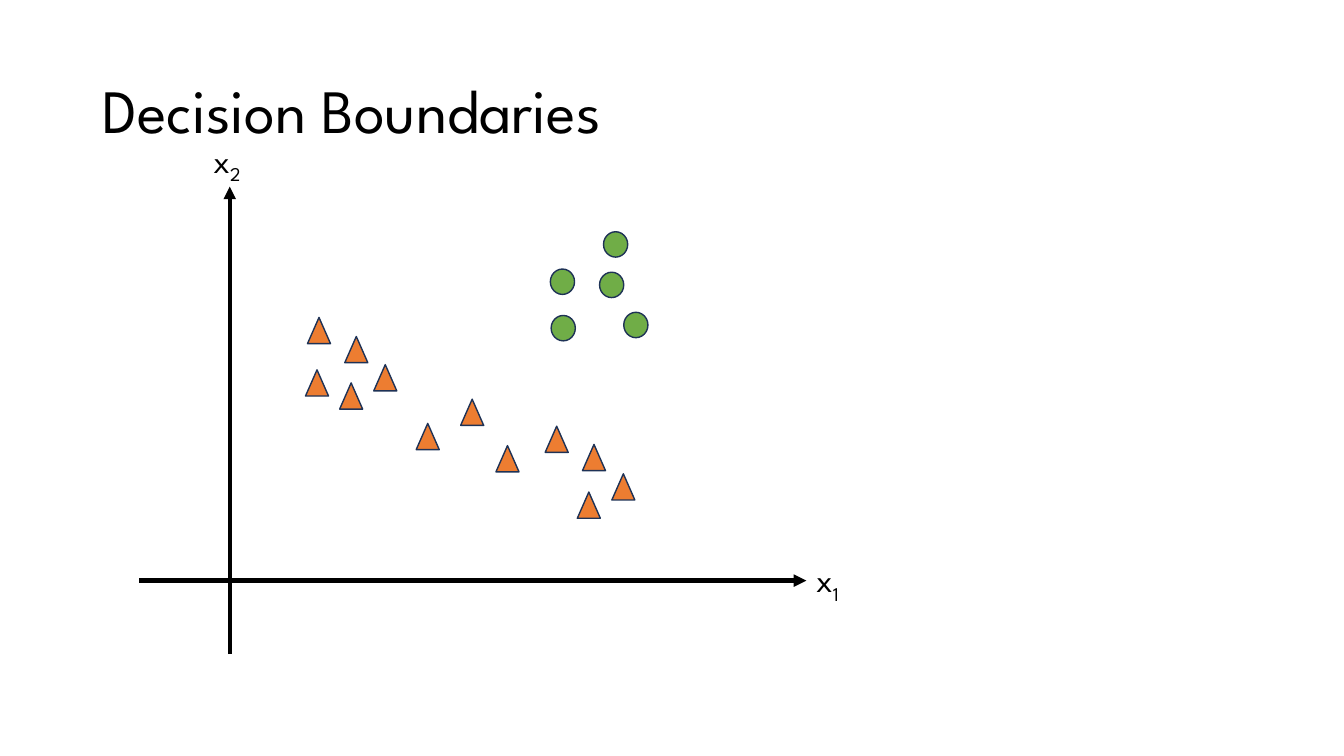
from lxml import etree
from pptx import Presentation
from pptx.dml.color import RGBColor
from pptx.enum.shapes import MSO_CONNECTOR, MSO_SHAPE
from pptx.enum.text import MSO_ANCHOR as ANCHOR, MSO_AUTO_SIZE as AUTO_SIZE
from pptx.oxml.ns import qn
from pptx.util import Cm, Pt

FONT = "League Spartan"
COLORS = {
    "ink": "000000",
    "triangle": "ED7D31",
    "circle": "70AD47",
    "outline": "1E3256",
}

# Top left corners of the data points, in cm
TRIANGLES = [
    (7.75, 8.0), (8.69, 8.48), (7.7, 9.32), (8.56, 9.65),
    (9.42, 9.19), (13.74, 10.74), (14.68, 11.2), (12.5, 11.23),
    (14.55, 12.4), (15.42, 11.94), (11.61, 10.06), (10.49, 10.67),
]
CIRCLES = [
    (13.87, 6.78), (13.89, 7.95), (15.11, 6.86), (15.72, 7.87), (15.21, 5.84),
]


def color(name):
    return RGBColor.from_string(COLORS[name])


def format_run(r, size):
    r.font.name = FONT
    r.font.size = Pt(size)
    r.font.color.rgb = color("ink")


def add_title(slide, text):
    tf = slide.shapes.add_textbox(Cm(2.34), Cm(1.02), Cm(29.21), Cm(3.68)).text_frame
    tf.word_wrap = True
    tf.vertical_anchor = ANCHOR.MIDDLE
    tf.text = text
    p = tf.paragraphs[0]
    p.line_spacing = 0.9
    format_run(p.runs[0], 44)


def add_axis(slide, x1, y1, x2, y2):
    axis = slide.shapes.add_connector(
        MSO_CONNECTOR.STRAIGHT, Cm(x1), Cm(y1), Cm(x2), Cm(y2))
    axis.line.color.rgb = color("ink")
    axis.line.width = Pt(3)
    ln = axis.line._get_or_add_ln()
    etree.SubElement(ln, qn("a:tailEnd"), type="triangle")
    etree.SubElement(axis._element.spPr, qn("a:effectLst"))


def add_axis_label(slide, x, y, subscript):
    tf = slide.shapes.add_textbox(Cm(x), Cm(y), Cm(1.35), Cm(1.27)).text_frame
    tf.word_wrap = False
    tf.auto_size = AUTO_SIZE.SHAPE_TO_FIT_TEXT
    p = tf.paragraphs[0]
    for text in ("x", subscript):
        r = p.add_run()
        r.text = text
        format_run(r, 24)
    r._r.get_or_add_rPr().set("baseline", "-25000")


def add_points(slide, preset, corners, width, height, fill):
    for x, y in corners:
        sp = slide.shapes.add_shape(preset, Cm(x), Cm(y), Cm(width), Cm(height))
        sp.shadow.inherit = False
        sp.fill.solid()
        sp.fill.fore_color.rgb = color(fill)
        sp.line.color.rgb = color("outline")
        sp.line.width = Pt(1)


def main():
    prs = Presentation()
    prs.slide_width, prs.slide_height = Cm(33.87), Cm(19.05)
    s = prs.slides.add_slide(prs.slide_layouts[6])

    add_title(s, "Decision Boundaries")

    # Axes and their labels
    add_axis(s, 5.79, 16.48, 5.79, 4.7)
    add_axis(s, 3.51, 14.63, 20.32, 14.63)
    add_axis_label(s, 20.32, 13.97, "1")
    add_axis_label(s, 5.13, 3.4, "2")

    # The two classes of data points
    add_points(s, MSO_SHAPE.ISOSCELES_TRIANGLE, TRIANGLES, 0.58, 0.66, "triangle")
    add_points(s, MSO_SHAPE.OVAL, CIRCLES, 0.61, 0.64, "circle")

    prs.save("out.pptx")


if __name__ == "__main__":
    main()
